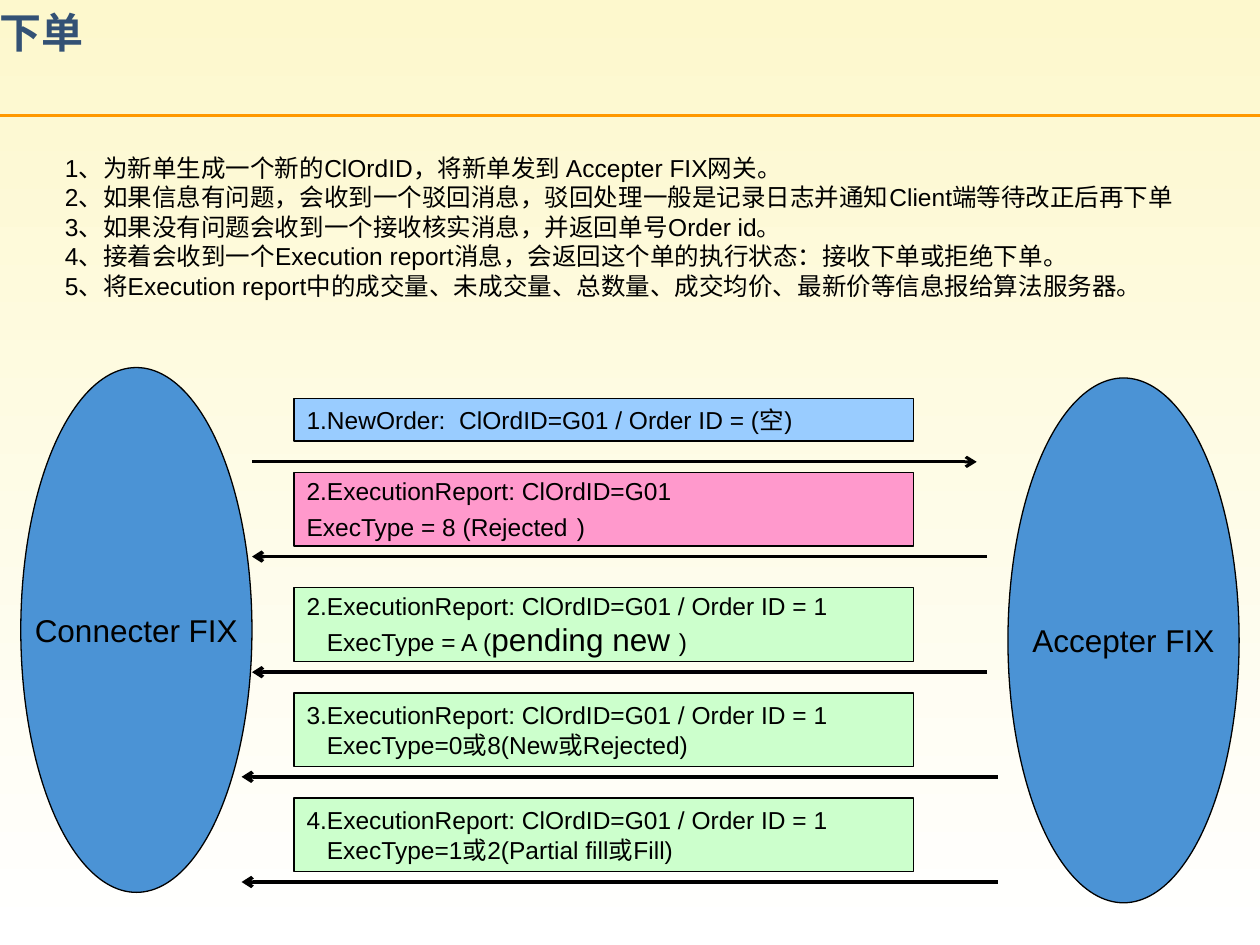
import pptx
import pptx.dml.color
import pptx.enum.shapes
import pptx.enum.text
import pptx.oxml
import pptx.oxml.ns
import pptx.util
from pptx.util import Cm

COLORS = {
    "sky": "FDF8CD", "ground": "FFFFFF", "rule": "FF9900", "title": "335175",
    "ink": "000000", "party": "4B93D5", "order": "99CCFF", "reject": "FF99CC",
    "accept": "CCFFCC",
}
rgb = {name: pptx.dml.color.RGBColor.from_string(code) for name, code in COLORS.items()}
qn = pptx.oxml.ns.qn
MIDDLE = pptx.enum.text.MSO_ANCHOR.MIDDLE


def style_run(run, size, color="ink", font="Arial"):
    run.font.size = pptx.util.Pt(size)
    run.font.name = font
    run.font.color.rgb = rgb[color]
    east_asian = pptx.oxml.parse_xml(
        f'<a:ea {pptx.oxml.ns.nsdecls("a")} typeface="Noto Sans CJK SC"/>')
    run.font._element.find(qn("a:latin")).addnext(east_asian)


def draw_line(start_x, end_x, y, color, width, arrow=False):
    line = slide.shapes.add_connector(
        pptx.enum.shapes.MSO_CONNECTOR.STRAIGHT, Cm(start_x), Cm(y), Cm(end_x), Cm(y))
    line.line.color.rgb = rgb[color]
    line.line.width = pptx.util.Pt(width)
    if arrow:
        line.line._get_or_add_ln().append(pptx.oxml.parse_xml(
            f'<a:tailEnd {pptx.oxml.ns.nsdecls("a")} type="arrow"/>'))
    line._element.spPr.append(pptx.oxml.parse_xml(
        f'<a:effectLst {pptx.oxml.ns.nsdecls("a")}/>'))


deck = pptx.Presentation()
deck.slide_width, deck.slide_height = Cm(25.4), Cm(19.05)
slide = deck.slides.add_slide(deck.slide_layouts[6])

# Background fading downwards, with the rule below the title
background = slide.background.fill
background.gradient()
background.gradient_angle = 270
for stop, shade in zip(background.gradient_stops, ("sky", "ground")):
    stop.color.rgb = rgb[shade]
draw_line(0, 25.4, 2.33, "rule", 1.5)

# Title
title = slide.shapes.add_textbox(0, 0, Cm(24.34), Cm(2.12)).text_frame
title.word_wrap = True
title.margin_left = title.margin_right = 0
title.text = "下单"
style_run(title.paragraphs[0].runs[0], 24, "title", "Noto Sans CJK SC")
title.paragraphs[0].runs[0].font.bold = True

# Steps of placing an order
steps = slide.shapes.add_textbox(Cm(1.06), Cm(2.96), Cm(22.86), Cm(3.81)).text_frame
steps.word_wrap = True
steps.text = "\n".join([
    "1、为新单生成一个新的ClOrdID，将新单发到 Accepter FIX网关。",
    "2、如果信息有问题，会收到一个驳回消息，驳回处理一般是记录日志并通知Client端等待改正后再下单",
    "3、如果没有问题会收到一个接收核实消息，并返回单号Order id。",
    "4、接着会收到一个Execution report消息，会返回这个单的执行状态：接收下单或拒绝下单。",
    "5、将Execution report中的成交量、未成交量、总数量、成交均价、最新价等信息报给算法服务器。",
])
for step in steps.paragraphs:
    style_run(step.runs[0], 14)

# The two parties
for name, left, top in (("Connecter FIX", 0.42, 7.41), ("Accepter FIX", 20.32, 7.62)):
    party = slide.shapes.add_shape(
        pptx.enum.shapes.MSO_SHAPE.OVAL, Cm(left), Cm(top), Cm(4.66), Cm(10.58))
    party.shadow.inherit = False
    party.fill.solid()
    party.fill.fore_color.rgb = rgb["party"]
    party.line.color.rgb = rgb["ink"]
    party.line.width = pptx.util.Pt(0.75)
    party.text_frame.word_wrap = False
    party.text_frame.vertical_anchor = MIDDLE
    party.text_frame.text = name
    label = party.text_frame.paragraphs[0]
    label.alignment = pptx.enum.text.PP_ALIGN.CENTER
    style_run(label.runs[0], 18)

# Messages: top, height, fill, second-line indent, lines of (text, size),
# then the arrow's start, end, height and width
REPORT = "ExecutionReport: ClOrdID=G01"
messages = [
    (8.04, 0.85, "order", 0, [[("1.NewOrder:  ClOrdID=G01 / Order ID = (空)", 14)]],
     (5.08, 19.69, 9.31, 1.75)),
    (9.53, 1.48, "reject", 0,
     [[(f"2.{REPORT}", 14)], [("ExecType = 8 (Rejected", 14), (" ", 18), (")", 14)]],
     (19.9, 5.08, 11.22, 2)),
    (11.85, 1.48, "accept", 0.41,
     [[(f"2.{REPORT} / Order ID = 1", 14)],
      [("ExecType = A (", 14), ("pending new ", 18), (")", 14)]],
     (19.9, 5.08, 13.55, 2)),
    (13.97, 1.48, "accept", 0.41,
     [[(f"3.{REPORT} / Order ID = 1", 14)], [("ExecType=0或8(New或Rejected)", 14)]],
     (20.11, 4.87, 15.66, 2)),
    (16.09, 1.48, "accept", 0.41,
     [[(f"4.{REPORT} / Order ID = 1", 14)], [("ExecType=1或2(Partial fill或Fill)", 14)]],
     (20.11, 4.87, 17.78, 2)),
]
for top, height, fill, indent, lines, (start_x, end_x, arrow_y, width) in messages:
    draw_line(start_x, end_x, arrow_y, "ink", width, arrow=True)
    message = slide.shapes.add_shape(
        pptx.enum.shapes.MSO_SHAPE.RECTANGLE, Cm(5.93), Cm(top), Cm(12.49), Cm(height))
    message.shadow.inherit = False
    message.fill.solid()
    message.fill.fore_color.rgb = rgb[fill]
    message.line.color.rgb = rgb["ink"]
    message.line.width = pptx.util.Pt(0.75)
    frame = message.text_frame
    frame.word_wrap = True
    frame.vertical_anchor = MIDDLE
    for number, pieces in enumerate(lines):
        paragraph = frame.add_paragraph() if number else frame.paragraphs[0]
        paragraph.alignment = pptx.enum.text.PP_ALIGN.LEFT
        if number and indent:
            paragraph._p.get_or_add_pPr().set("marL", str(int(Cm(indent))))
        for text, size in pieces:
            run = paragraph.add_run()
            run.text = text
            style_run(run, size)

deck.save("out.pptx")
